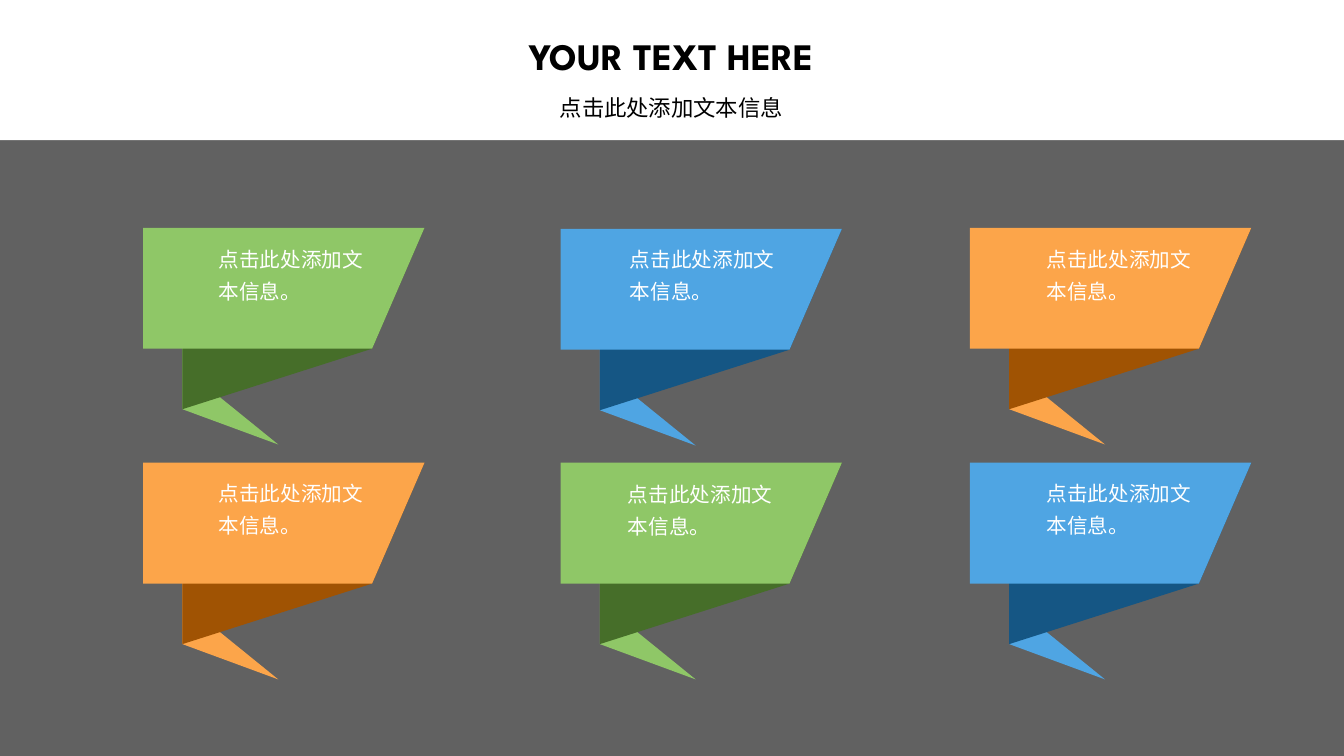
from lxml import etree
from pptx import Presentation
from pptx import util as u
from pptx.dml.color import RGBColor
from pptx.enum import shapes, text
from pptx.oxml.ns import qn

SCALE = 9144  # EMU in one px, 100 px to the inch
WIDE, HIGH = 1333, 750
FONT = "League Spartan"
BLACK, WHITE = "000000", "FFFFFF"
GREEN = ("8FC767", "466E29")
BLUE = ("4FA5E3", "155684")
AMBER = ("FCA54A", "A05303")

# Corners measured from the banner's top left
TAIL = [(39, 180), (134, 215), (60, 155), (39, 90)]
FOLD = [(39, 180), (227, 120), (279, 0), (39, 90)]
FACE = [(0, 120), (227, 120), (279, 0), (0, 0)]

# Left, top, colours, text left, text top
BANNERS = [
    (556, 227, BLUE, 615, 233),
    (556, 459, GREEN, 613, 466),
    (962, 226, AMBER, 1028, 233),
    (962, 459, BLUE, 1028, 465),
    (142, 226, GREEN, 207, 233),
    (142, 459, AMBER, 207, 465),
]


def px(n):
    return u.Emu(n * SCALE)


def rgb(code):
    return RGBColor.from_string(code)


def put(item, props):
    for name, value in props.items():
        setattr(item, name, value)


class Deck:
    title = dict(size=u.Pt(26.7), bold=True)
    sub = dict(size=u.Pt(16))
    note = dict(size=u.Pt(14.7))
    head = dict(alignment=text.PP_ALIGN.CENTER, line_spacing=0.9)
    body = dict(line_spacing=1.3)
    mid = dict(word_wrap=True, vertical_anchor=text.MSO_ANCHOR.MIDDLE)
    grow = dict(word_wrap=True, auto_size=text.MSO_AUTO_SIZE.SHAPE_TO_FIT_TEXT)

    def __init__(self):
        self.prs = Presentation()
        put(self.prs, dict(slide_width=px(WIDE), slide_height=px(HIGH)))
        self.slide = self.prs.slides.add_slide(self.prs.slide_layouts[6])
        self.home = self.slide.shapes

    def paint(self, shape, code, alpha=None):
        """Fill without outline or shadow; alpha is percent opaque."""
        shape.fill.solid()
        shape.fill.fore_color.rgb = rgb(code)
        shape.line.fill.background()
        shape.shadow.inherit = False
        if alpha is not None:
            tint = shape.fill._xPr.find(".//" + qn("a:srgbClr"))
            etree.SubElement(tint, qn("a:alpha")).set("val", str(alpha * 1000))

    def rect(self, box, code, alpha=None):
        kind = shapes.MSO_SHAPE.RECTANGLE
        self.paint(self.home.add_shape(kind, *map(px, box)), code, alpha)

    def label(self, home, box, words, code, frame, para, font):
        tf = home.add_textbox(*map(px, box)).text_frame
        put(tf, frame)
        line = tf.paragraphs[0]
        put(line, para)
        run = line.add_run()
        run.text = words
        put(run.font, dict(font, name=FONT))
        run.font.color.rgb = rgb(code)

    def poly(self, home, left, top, dots, code):
        first, *rest = [(left + x, top + y) for x, y in dots]
        pen = home.build_freeform(*first, scale=SCALE)
        pen.add_line_segments(rest, close=True)
        self.paint(pen.convert_to_shape(), code)

    def banner(self, left, top, pair, tx, ty):
        light, dark = pair
        home = self.home.add_group_shape().shapes
        for dots, code in ((TAIL, light), (FOLD, dark), (FACE, light)):
            self.poly(home, left, top, dots, code)
        self.label(home, (tx, ty, 164, 74), "点击此处添加文本信息。",
                   WHITE, self.grow, self.body, self.note)


def main():
    deck = Deck()
    deck.rect((0, 0, WIDE, HIGH), BLACK, 62)
    deck.rect((0, 0, WIDE, 139), WHITE)
    deck.label(deck.home, (411, 24, 510, 68), "YOUR TEXT HERE",
               BLACK, deck.mid, deck.head, deck.title)
    deck.label(deck.home, (411, 85, 510, 46), "点击此处添加文本信息",
               BLACK, deck.mid, deck.head, deck.sub)
    for spec in BANNERS:
        deck.banner(*spec)
    deck.prs.save("out.pptx")


if __name__ == "__main__":
    main()
